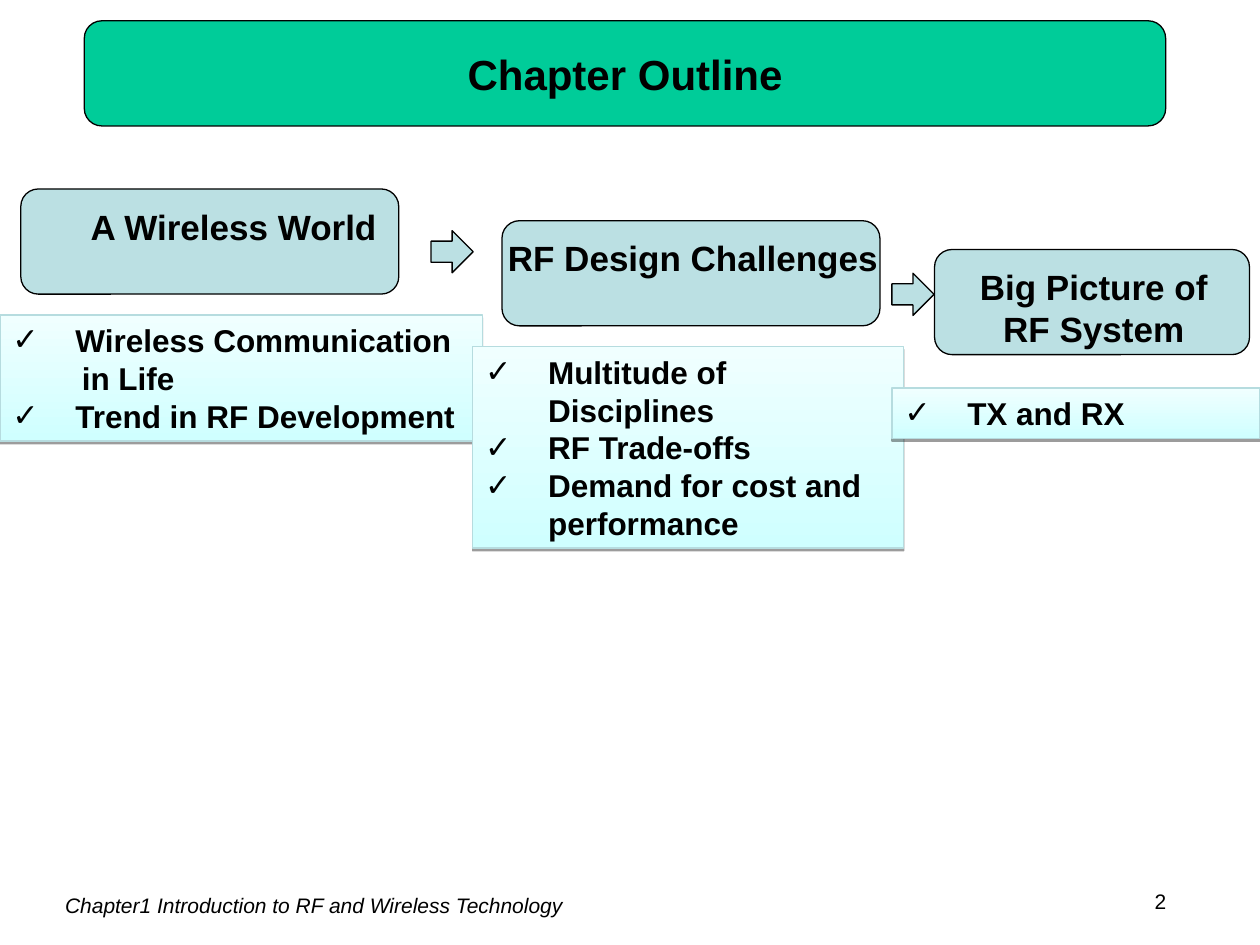
from dataclasses import dataclass

from lxml import etree
from pptx import Presentation
from pptx.dml.color import RGBColor
from pptx.enum.shapes import MSO_SHAPE
from pptx.enum.text import MSO_ANCHOR, PP_ALIGN
from pptx.oxml import parse_xml
from pptx.oxml.ns import nsdecls, qn
from pptx.util import Cm, Pt

ROUNDED = MSO_SHAPE.ROUNDED_RECTANGLE
RECTANGLE = MSO_SHAPE.RECTANGLE
ARROW = MSO_SHAPE.RIGHT_ARROW
CENTER, LEFT = PP_ALIGN.CENTER, PP_ALIGN.LEFT
TOP, MIDDLE = MSO_ANCHOR.TOP, MSO_ANCHOR.MIDDLE

COLORS = {
    "ink": "000000",
    "banner": "00CC99",
    "header": "BBE0E3",
    "panel_low": "CFFFFF",
    "panel_high": "F0FFFF",
    "panel_edge": "B6DCDF",
}
TITLE_FORMAT = {"name": "Arial", "size": Pt(24), "bold": True}
HEADER_FORMAT = {"name": "Arial", "size": Pt(20), "bold": True}
LIST_FORMAT = {"name": "Arial", "size": Pt(18), "bold": True}
FOOTER_FORMAT = {"name": "Arial", "size": Pt(12), "italic": True}
NUMBER_FORMAT = {"name": "Arial", "size": Pt(12)}
EDGE_WIDTH = Pt(0.74)
HEADER_HEIGHT = 2.12
LABEL_OFFSET = 0.2
ARROW_SIZE = 0.85
BULLET_INDENT = 1.27
CONTINUATION_INDENT = 1.4


@dataclass
class Area:
    left: float
    top: float
    width: float
    height: float

    def lengths(self) -> list:
        return [Cm(self.left), Cm(self.top), Cm(self.width), Cm(self.height)]


@dataclass
class Item:
    text: str
    checked: bool = True


@dataclass
class Topic:
    header: Area
    label_left: float
    label_width: float
    label_height: float
    label_lines: list[str]
    panel: Area
    items: list[Item]


BANNER = Area(1.7, 0.42, 21.8, HEADER_HEIGHT)
ARROWS = [Area(8.69, 4.65, ARROW_SIZE, ARROW_SIZE),
          Area(17.98, 5.51, ARROW_SIZE, ARROW_SIZE)]
TOPICS = [
    Topic(Area(0.42, 3.81, 7.62, HEADER_HEIGHT), 1.55, 6.32, 1.12,
          ["A Wireless World"], Area(0, 6.35, 9.73, 2.54),
          [Item("Wireless Communication"), Item("in Life", False),
           Item("Trend in RF Development")]),
    Topic(Area(10.12, 4.45, 7.62, HEADER_HEIGHT), 9.98, 7.98, 1.12,
          ["RF Design Challenges"], Area(9.53, 6.99, 8.69, 4.06),
          [Item("Multitude of Disciplines"), Item("RF Trade-offs"),
           Item("Demand for cost and performance")]),
    Topic(Area(18.84, 5.03, 6.35, HEADER_HEIGHT), 19.41, 5.28, 1.96,
          ["Big Picture of ", "RF System"], Area(17.98, 7.82, 7.42, 1.02),
          [Item("TX and RX")]),
]


def color(name: str) -> RGBColor:
    return RGBColor.from_string(COLORS[name])


def write_lines(frame, lines: list[str], values: dict, align) -> None:
    for index, line in enumerate(lines):
        para = frame.paragraphs[0] if index == 0 else frame.add_paragraph()
        para.alignment = align
        span = para.add_run()
        span.text = line
        for key, value in values.items():
            setattr(span.font, key, value)
        span.font.color.rgb = color("ink")


def add_text(page, area: Area, lines: list[str], values: dict, wrap: bool = True) -> None:
    box = page.shapes.add_textbox(*area.lengths())
    box.text_frame.word_wrap = wrap
    write_lines(box.text_frame, lines, values, CENTER)


def add_solid(page, kind, area: Area, fill: str):
    shape = page.shapes.add_shape(kind, *area.lengths())
    shape.shadow.inherit = False
    shape.fill.solid()
    shape.fill.fore_color.rgb = color(fill)
    shape.line.color.rgb = color("ink")
    shape.line.width = EDGE_WIDTH
    return shape


def add_drop_shadow(shape) -> None:
    shape.shadow.inherit = False
    effects = shape.element.spPr.find(qn("a:effectLst"))
    effects.append(parse_xml(
        f'<a:outerShdw {nsdecls("a")} blurRad="0" dist="{Pt(1.6)}" dir="5400000" '
        f'rotWithShape="0"><a:srgbClr val="{COLORS["ink"]}">'
        '<a:alpha val="38000"/></a:srgbClr></a:outerShdw>'))


def indent_item(para, checked: bool) -> None:
    properties = para._p.get_or_add_pPr()
    left = BULLET_INDENT if checked else CONTINUATION_INDENT
    properties.set("marL", str(Cm(left)))
    properties.set("indent", str(Cm(-BULLET_INDENT if checked else 0)))
    if checked:
        font = etree.SubElement(properties, qn("a:buFont"))
        font.set("typeface", "Arial")
        etree.SubElement(properties, qn("a:buChar")).set("char", "✓")
    else:
        etree.SubElement(properties, qn("a:buNone"))


def add_panel(page, area: Area, items: list[Item]) -> None:
    panel = page.shapes.add_shape(RECTANGLE, *area.lengths())
    panel.fill.gradient()
    panel.fill.gradient_angle = 90
    stops = panel.fill.gradient_stops
    for stop, position, name in zip(stops, (0, 1), ("panel_low", "panel_high")):
        stop.position = position
        stop.color.rgb = color(name)
    panel.line.color.rgb = color("panel_edge")
    panel.line.width = EDGE_WIDTH
    add_drop_shadow(panel)
    frame = panel.text_frame
    frame.word_wrap = True
    frame.vertical_anchor = TOP
    write_lines(frame, [item.text for item in items], LIST_FORMAT, LEFT)
    for para, item in zip(frame.paragraphs, items):
        indent_item(para, item.checked)


def add_title(page, text: str) -> None:
    title = page.shapes.title
    title.left, title.top, title.width, title.height = BANNER.lengths()
    title.text_frame.vertical_anchor = MIDDLE
    write_lines(title.text_frame, [text], TITLE_FORMAT, CENTER)
    page.shapes._spTree.append(title.element)


def build() -> None:
    deck = Presentation()
    deck.slide_width, deck.slide_height = Cm(25.4), Cm(19.05)
    page = deck.slides.add_slide(deck.slide_layouts[5])
    add_solid(page, ROUNDED, BANNER, "banner")
    add_text(page, Area(0.2, 17.86, 12.27, 0.76),
             ["Chapter1 Introduction to RF and Wireless Technology"], FOOTER_FORMAT)
    add_text(page, Area(21.39, 17.78, 4.01, 0.76), ["2"], NUMBER_FORMAT)
    add_title(page, "Chapter Outline")
    for topic in TOPICS:
        add_solid(page, ROUNDED, topic.header, "header")
        label = Area(topic.label_left, topic.header.top + LABEL_OFFSET,
                     topic.label_width, topic.label_height)
        add_text(page, label, topic.label_lines, HEADER_FORMAT, wrap=False)
    for area in ARROWS:
        add_solid(page, ARROW, area, "header")
    for topic in TOPICS:
        add_panel(page, topic.panel, topic.items)
    deck.save("out.pptx")


build()
